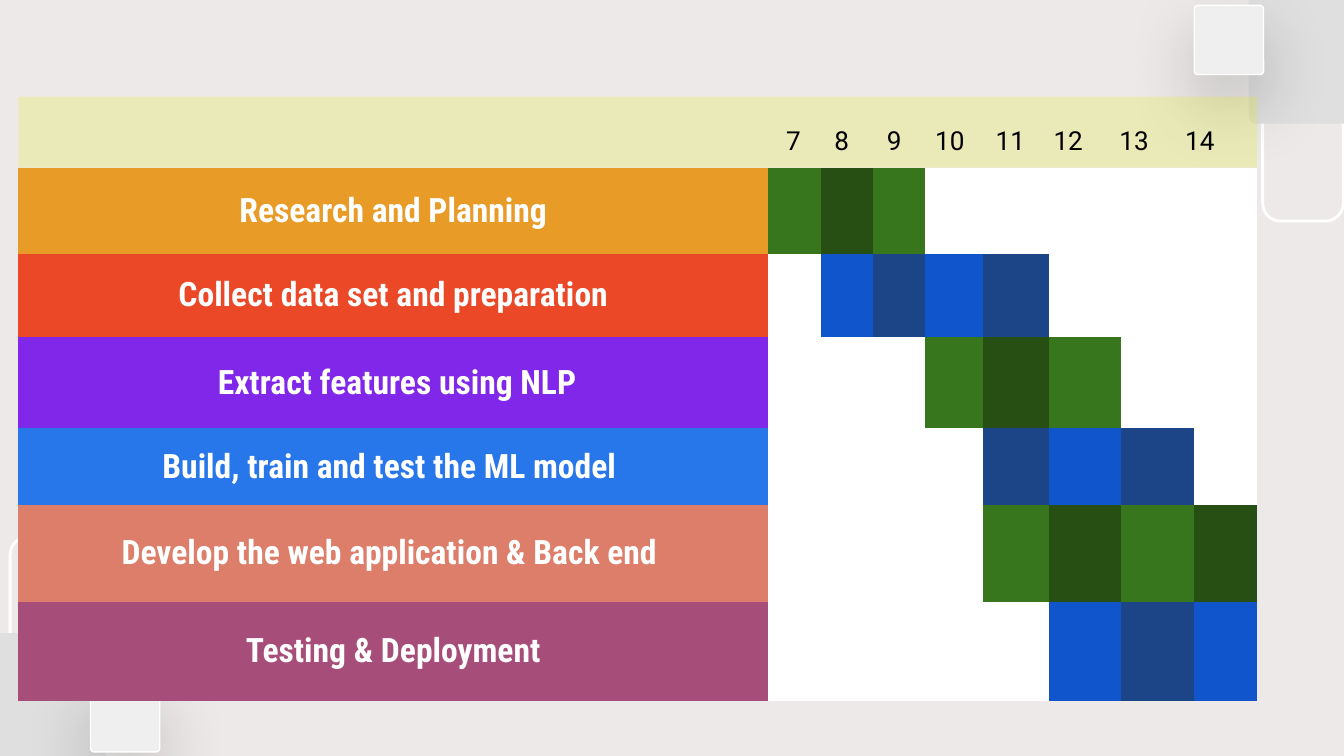
from dataclasses import dataclass
from typing import Optional

from lxml import etree
from pptx import Presentation
from pptx import util as u
from pptx.dml.color import RGBColor
from pptx.enum import shapes, text
from pptx.oxml.ns import qn

# The 16:9 slide is a grid of square units, 1000 columns wide
COLS = 1000
SLIDE_WIDTH = u.Inches(10)
SLIDE_HEIGHT = SLIDE_WIDTH * 9 // 16
UNIT = SLIDE_WIDTH // COLS
NO_STYLE = "{2D5ABB26-0587-4C30-8999-92F81FD0307C}"
WHITE = "FFFFFF"
GREENS = ("38761D", "274E13")
BLUES = ("1155CC", "1C4587")
FIRST_WEEK = 7


@dataclass
class Tile:
    col: float
    row: float
    width: float
    height: float
    corner: float
    rotation: int = 0
    fill: Optional[str] = None
    line_pt: float = 0
    shadow: bool = False


@dataclass
class Task:
    name: str
    color: str
    height: int
    weeks: tuple[str, ...]
    start: int


@dataclass
class WeekLabel:
    col: int
    width: int


TILES = [
    Tile(906, 71, 127, 60, 0.22, 270, line_pt=1.5),
    Tile(929, -16, 108, 108, 0.05, fill="DFDFDF"),
    Tile(-26, 433, 127, 60, 0.22, 90, line_pt=1.5),
    Tile(-29, 471, 108, 108, 0.05, 180, "DFDFDF"),
    Tile(67.3, 508, 51.5, 51.5, 0.05, 180, "EFEFEF", 0.75, True),
    Tile(888.7, 4, 51.5, 51.5, 0.05, 0, "EFEFEF", 0.75, True),
]

GREEN, DARK_GREEN = GREENS
BLUE, NAVY = BLUES
TASKS = [
    Task("Research and Planning", "E99B27", 64, (GREEN, DARK_GREEN, GREEN), 7),
    Task("Collect data set and preparation", "EA4827", 62, BLUES * 2, 8),
    Task(" Extract features using NLP", "8027EA", 68, (GREEN, DARK_GREEN, GREEN), 10),
    Task("Build, train and test the ML model ", "2776EA", 57, (NAVY, BLUE, NAVY), 11),
    Task("Develop the web application & Back end ", "DD7E6B", 72, GREENS * 2, 11),
    Task("Testing & Deployment", "A64D79", 74, (BLUE, NAVY, BLUE), 12),
]

TABLE_COL, TABLE_ROW, HEADER_HEIGHT = 13.6, 71.8, 53
TABLE_WIDTHS = [558, 39, 39, 39, 43, 49, 54, 54, 47]
LABEL_ROW, LABEL_HEIGHT = 82.6, 44
WEEK_LABELS = [
    WeekLabel(575, 35), WeekLabel(611, 35), WeekLabel(650, 35), WeekLabel(686, 47),
    WeekLabel(731, 45), WeekLabel(774, 45), WeekLabel(823, 45), WeekLabel(872, 55),
]


def paint(fill, color: str, opacity: Optional[int] = None) -> None:
    fill.solid()
    fill.fore_color.rgb = RGBColor.from_string(color)
    if opacity is not None:
        tone = fill._xPr.find(qn("a:solidFill"))[0]
        etree.SubElement(tone, qn("a:alpha")).set("val", str(opacity * 1000))


def box(col: float, row: float, width: float, height: float) -> list[int]:
    return [round(n * UNIT) for n in (col, row, width, height)]


def set_margins(item) -> None:
    for side in ("left", "right", "top", "bottom"):
        setattr(item, f"margin_{side}", u.Inches(0.1))


def style_text(tf, font: str, size: int, color: str, bold: bool = False) -> None:
    r = tf.paragraphs[0].runs[0]
    r.font.name, r.font.size, r.font.bold = font, u.Pt(size), bold
    r.font.color.rgb = RGBColor.from_string(color)


def add_soft_shadow(sp) -> None:
    effects = sp._element.spPr.find(qn("a:effectLst"))
    shadow = etree.SubElement(
        effects, qn("a:outerShdw"), blurRad=str(u.Pt(38.2)), dist=str(u.Pt(15.8)),
        dir="5400000", algn="ctr", rotWithShape="0")
    tone = etree.SubElement(shadow, qn("a:srgbClr"), val="000000")
    etree.SubElement(tone, qn("a:alpha"), val="20000")


def add_tile(slide, tile: Tile) -> None:
    sp = slide.shapes.add_shape(shapes.MSO_SHAPE.ROUNDED_RECTANGLE,
                                *box(tile.col, tile.row, tile.width, tile.height))
    sp.adjustments[0] = tile.corner
    sp.rotation = tile.rotation
    sp.shadow.inherit = False
    if tile.fill:
        paint(sp.fill, tile.fill)
    else:
        sp.fill.background()
    if tile.line_pt:
        paint(sp.line.fill, WHITE)
        sp.line.width = u.Pt(tile.line_pt)
    else:
        sp.line.fill.background()
    if tile.shadow:
        add_soft_shadow(sp)


def add_schedule(slide, tasks: list[Task]) -> None:
    heights = [HEADER_HEIGHT] + [task.height for task in tasks]
    frame = slide.shapes.add_table(
        len(heights), len(TABLE_WIDTHS),
        *box(TABLE_COL, TABLE_ROW, sum(TABLE_WIDTHS), sum(heights)))
    table = frame.table
    table.first_row = table.horz_banding = False
    table._tbl.tblPr.find(qn("a:tableStyleId")).text = NO_STYLE
    for column, width in zip(table.columns, TABLE_WIDTHS):
        column.width = width * UNIT
    for row, height in zip(table.rows, heights):
        row.height = height * UNIT

    # Header band across all columns
    header = table.cell(0, 0)
    header.merge(table.cell(0, len(TABLE_WIDTHS) - 1))
    paint(header.fill, "E4EA27", 25)

    # Task names and their weeks
    for i, task in enumerate(tasks, 1):
        name = table.cell(i, 0)
        paint(name.fill, task.color)
        name.text_frame.text = task.name
        name.vertical_anchor = text.MSO_ANCHOR.MIDDLE
        set_margins(name)
        name.text_frame.paragraphs[0].alignment = text.PP_ALIGN.CENTER
        style_text(name.text_frame, "Roboto Condensed", 18, WHITE, bold=True)
        busy = dict(enumerate(task.weeks, task.start))
        for j in range(1, len(TABLE_WIDTHS)):
            paint(table.cell(i, j).fill, busy.get(FIRST_WEEK + j - 1, WHITE))


def add_week_label(slide, week: int, label: WeekLabel) -> None:
    sp = slide.shapes.add_textbox(*box(label.col, LABEL_ROW, label.width, LABEL_HEIGHT))
    tf = sp.text_frame
    tf.word_wrap = True
    tf.auto_size = text.MSO_AUTO_SIZE.SHAPE_TO_FIT_TEXT
    set_margins(tf)
    tf.text = str(week)
    style_text(tf, "Roboto", 14, "000000")


def main() -> None:
    prs = Presentation()
    prs.slide_width, prs.slide_height = SLIDE_WIDTH, SLIDE_HEIGHT
    slide = prs.slides.add_slide(prs.slide_layouts[6])
    paint(slide.background.fill, "EDE9E9")

    # Corner decoration
    for tile in TILES:
        add_tile(slide, tile)

    # Gantt table with week numbers
    add_schedule(slide, TASKS)
    for week, label in enumerate(WEEK_LABELS, FIRST_WEEK):
        add_week_label(slide, week, label)

    prs.save("out.pptx")


if __name__ == "__main__":
    main()
